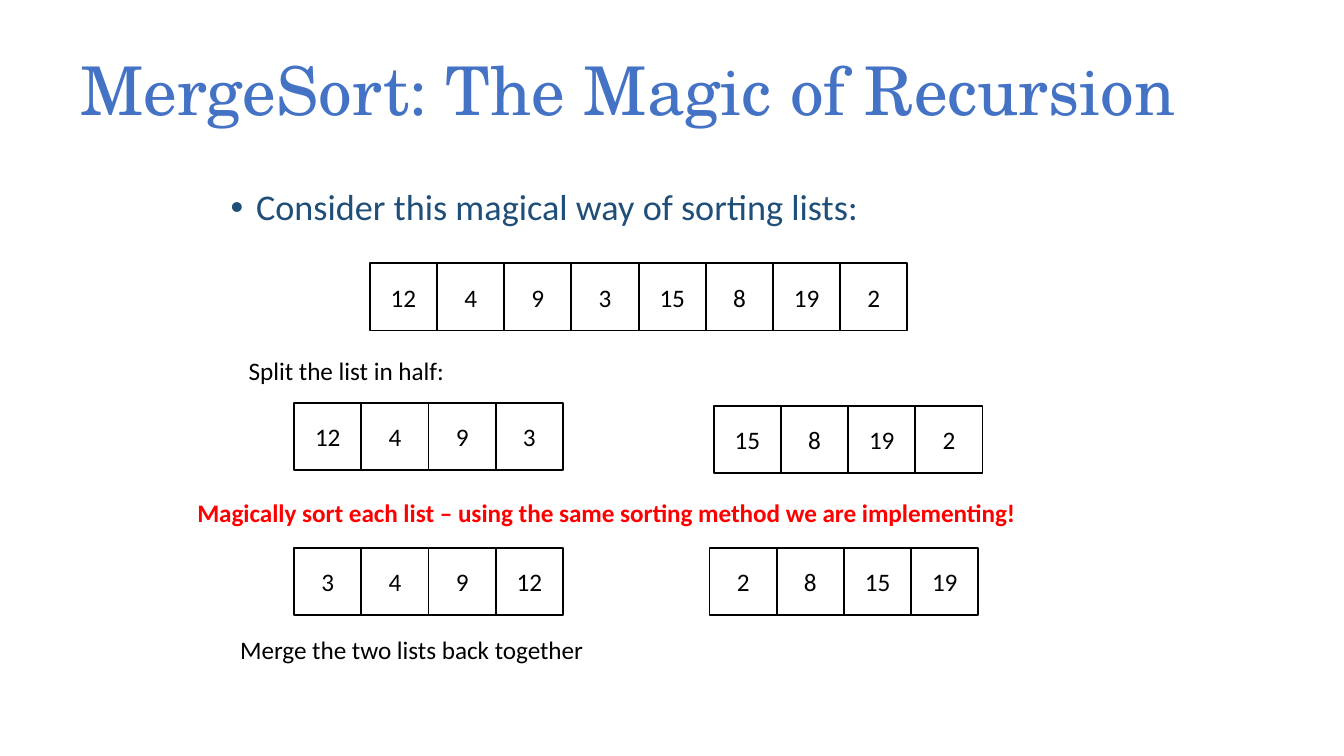
import pptx
import pptx.dml.color
import pptx.enum.shapes
import pptx.enum.text
import pptx.oxml
import pptx.util
from pptx.util import Cm

COLORS = {
    "title": "4472C4",
    "body": "1F4E79",
    "ink": "000000",
    "alert": "FF0000",
}
CELL = 1.27
SIZE = 13.5

# left, top, values
LISTS = [
    (6.99, 4.98, [12, 4, 9, 3, 15, 8, 19, 2]),
    (5.56, 7.62, [12, 4, 9, 3]),
    (13.49, 7.67, [15, 8, 19, 2]),
    (5.56, 10.36, [3, 4, 9, 12]),
    (13.41, 10.36, [2, 8, 15, 19]),
]
# left, top, width, text, color, bold
LABELS = [
    (4.45, 6.6, 4.27, "Split the list in half:", "ink", False),
    (3.48, 9.27, 16.15,
     "Magically sort each list – using the same sorting method we are implementing!",
     "alert", True),
    (4.29, 11.86, 7.09, "Merge the two lists back together", "ink", False),
]


def paint(name):
    return pptx.dml.color.RGBColor.from_string(COLORS[name])


def style(para, size, color, face="Calibri", bold=False):
    font = para.font
    font.name = face
    font.size = pptx.util.Pt(size)
    font.bold = bold
    font.color.rgb = paint(color)


def add_text(slide, left, top, width, height, text):
    box = slide.shapes.add_textbox(Cm(left), Cm(top), Cm(width), Cm(height))
    frame = box.text_frame
    frame.text = text
    return frame


def add_block(slide, left, top, width, height, text):
    """Add a wrapped text box with equal insets and tight lines."""
    frame = add_text(slide, left, top, width, height, text)
    frame.word_wrap = True
    frame.margin_top = frame.margin_bottom = Cm(0.25)
    frame.paragraphs[0].line_spacing = 0.9
    return frame


def add_title(slide):
    frame = add_block(slide, 1.27, 0.58, 22.86, 2.39,
                      "MergeSort: The Magic of Recursion")
    frame.vertical_anchor = pptx.enum.text.MSO_ANCHOR.MIDDLE
    style(frame.paragraphs[0], 36, "title", "TeX Gyre Schola")


def add_bullet(slide):
    frame = add_block(slide, 4.11, 3.33, 17.15, 1.27,
                      "Consider this magical way of sorting lists:")
    para = frame.paragraphs[0]
    props = para._p.get_or_add_pPr()
    props.set("marL", str(Cm(0.48)))
    props.set("indent", str(-Cm(0.48)))
    for tag, key, value in (("buFont", "typeface", "Arial"),
                            ("buChar", "char", "•")):
        item = pptx.oxml.xmlchemy.OxmlElement("a:" + tag)
        item.set(key, value)
        props.append(item)
    style(para, 19.4, "body")


def add_label(slide, left, top, width, text, color, bold):
    frame = add_text(slide, left, top, width, 0.84, text)
    frame.word_wrap = False
    frame.auto_size = pptx.enum.text.MSO_AUTO_SIZE.SHAPE_TO_FIT_TEXT
    style(frame.paragraphs[0], SIZE, color, bold=bold)


def add_cell(slide, left, top, value):
    cell = slide.shapes.add_shape(pptx.enum.shapes.MSO_SHAPE.RECTANGLE,
                                  Cm(left), Cm(top), Cm(CELL), Cm(CELL))
    cell.shadow.inherit = False
    cell.fill.background()
    cell.line.color.rgb = paint("ink")
    cell.line.width = pptx.util.Pt(1)
    frame = cell.text_frame
    frame.text = str(value)
    frame.vertical_anchor = pptx.enum.text.MSO_ANCHOR.MIDDLE
    para = frame.paragraphs[0]
    para.alignment = pptx.enum.text.PP_ALIGN.CENTER
    style(para, SIZE, "ink")


def add_list(slide, left, top, values):
    for col, value in enumerate(values):
        add_cell(slide, left + col * CELL, top, value)


def main():
    deck = pptx.Presentation()
    deck.slide_width = Cm(25.4)
    deck.slide_height = Cm(14.29)
    slide = deck.slides.add_slide(deck.slide_layouts[6])
    add_title(slide)
    add_bullet(slide)
    for row in LISTS:
        add_list(slide, *row)
    for label in LABELS:
        add_label(slide, *label)
    deck.save("out.pptx")


if __name__ == "__main__":
    main()
